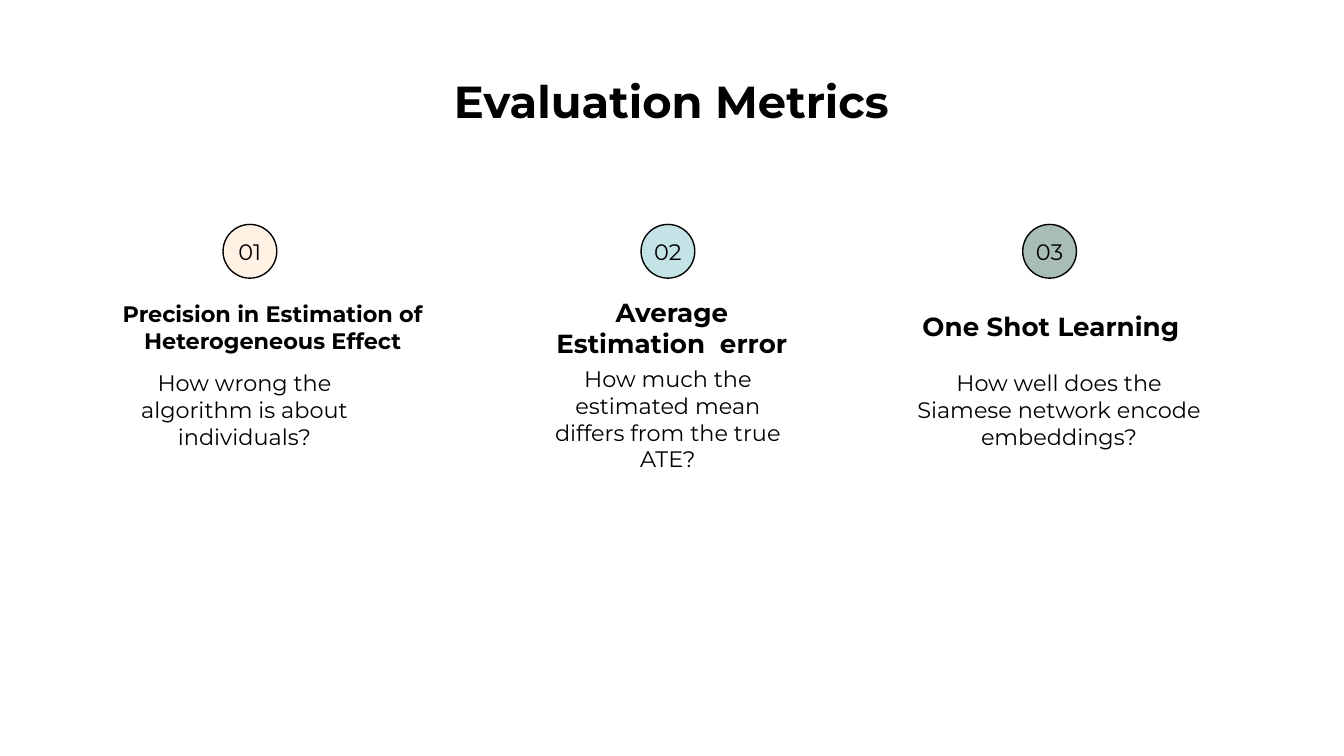
from dataclasses import dataclass

from pptx import Presentation
from pptx import util as u
from pptx.dml.color import RGBColor
from pptx.enum import shapes, text


@dataclass(frozen=True)
class Theme:
    font: str = "Montserrat"
    ink: str = "000000"
    title_size: float = 24
    body_size: float = 12
    line_width: float = 0.75
    inset: float = 1


@dataclass(frozen=True)
class Box:
    left: float
    top: float
    width: float
    height: float

    def inner(self, left, top, width, height):
        return Box(self.left + left, self.top + top, width, height)

    def lengths(self):
        return [cells(n) for n in (self.left, self.top, self.width, self.height)]


@dataclass(frozen=True)
class Metric:
    box: Box
    heading: str
    heading_size: float
    heading_top: float
    question: str
    question_left: float
    question_top: float
    question_width: float
    badge_left: float
    badge_fill: str


THEME = Theme()
COLUMNS, ROWS = 100, 56.25
BADGE = 4
HEADING_HEIGHT, QUESTION_HEIGHT = 6.1, 7.5
METRICS = [
    Metric(Box(4.6, 16.7, 31.4, 18.2),
           "Precision in Estimation of Heterogeneous Effect", 12, 4.6,
           "How wrong the algorithm is about individuals?", 3.6, 10, 20,
           12, "FFF1E3"),
    Metric(Box(40, 16.7, 20, 18.2),
           "Average Estimation  error", 14, 4.6,
           "How much the estimated mean differs from the true ATE?", -0.3, 10.7, 20,
           7.7, "C4E3E6"),
    Metric(Box(65.4, 16.7, 25.6, 18.2),
           "One Shot Learning", 14, 4.5,
           "How well does the Siamese network encode embeddings?", 1.3, 10, 24.2,
           10.7, "A8BDB6"),
]


def cells(count):
    return u.Inches(count / 10)


def write(shape, words, size, bold=False, side=THEME.inset,
          anchor=text.MSO_ANCHOR.MIDDLE):
    frame = shape.text_frame
    frame.word_wrap = True
    frame.auto_size = text.MSO_AUTO_SIZE.NONE
    frame.vertical_anchor = anchor
    frame.margin_left = frame.margin_right = cells(side)
    frame.margin_top = frame.margin_bottom = cells(THEME.inset)
    para = frame.paragraphs[0]
    para.text = words
    para.alignment = text.PP_ALIGN.CENTER
    para.font.name = THEME.font
    para.font.size = u.Pt(size)
    para.font.bold = bold
    para.font.color.rgb = RGBColor.from_string(THEME.ink)


def add_title(page, box, words):
    title = page.shapes.title
    title.left, title.top, title.width, title.height = box.lengths()
    write(title, words, THEME.title_size, bold=True, anchor=text.MSO_ANCHOR.TOP)


def add_label(page, box, words, size, bold=False):
    write(page.shapes.add_textbox(*box.lengths()), words, size, bold)


def add_badge(page, box, number, fill):
    badge = page.shapes.add_shape(shapes.MSO_SHAPE.OVAL, *box.lengths())
    badge.shadow.inherit = False
    badge.fill.solid()
    badge.fill.fore_color.rgb = RGBColor.from_string(fill)
    badge.line.color.rgb = RGBColor.from_string(THEME.ink)
    badge.line.width = u.Pt(THEME.line_width)
    write(badge, f"{number:02}", THEME.body_size, side=0)


def add_metric(page, number, metric):
    box = metric.box
    add_badge(page, box.inner(metric.badge_left, 0, BADGE, BADGE),
              number, metric.badge_fill)
    add_label(page, box.inner(0, metric.heading_top, box.width, HEADING_HEIGHT),
              metric.heading, metric.heading_size, bold=True)
    add_label(page, box.inner(metric.question_left, metric.question_top,
                              metric.question_width, QUESTION_HEIGHT),
              metric.question, THEME.body_size)


def main():
    deck = Presentation()
    deck.slide_width, deck.slide_height = cells(COLUMNS), cells(ROWS)
    page = deck.slides.add_slide(deck.slide_layouts.get_by_name("Title Only"))
    add_title(page, Box(4.9, 4.5, 90.1, 6.1), "Evaluation Metrics")
    for number, metric in enumerate(METRICS, 1):
        add_metric(page, number, metric)
    deck.save("out.pptx")


if __name__ == "__main__":
    main()
